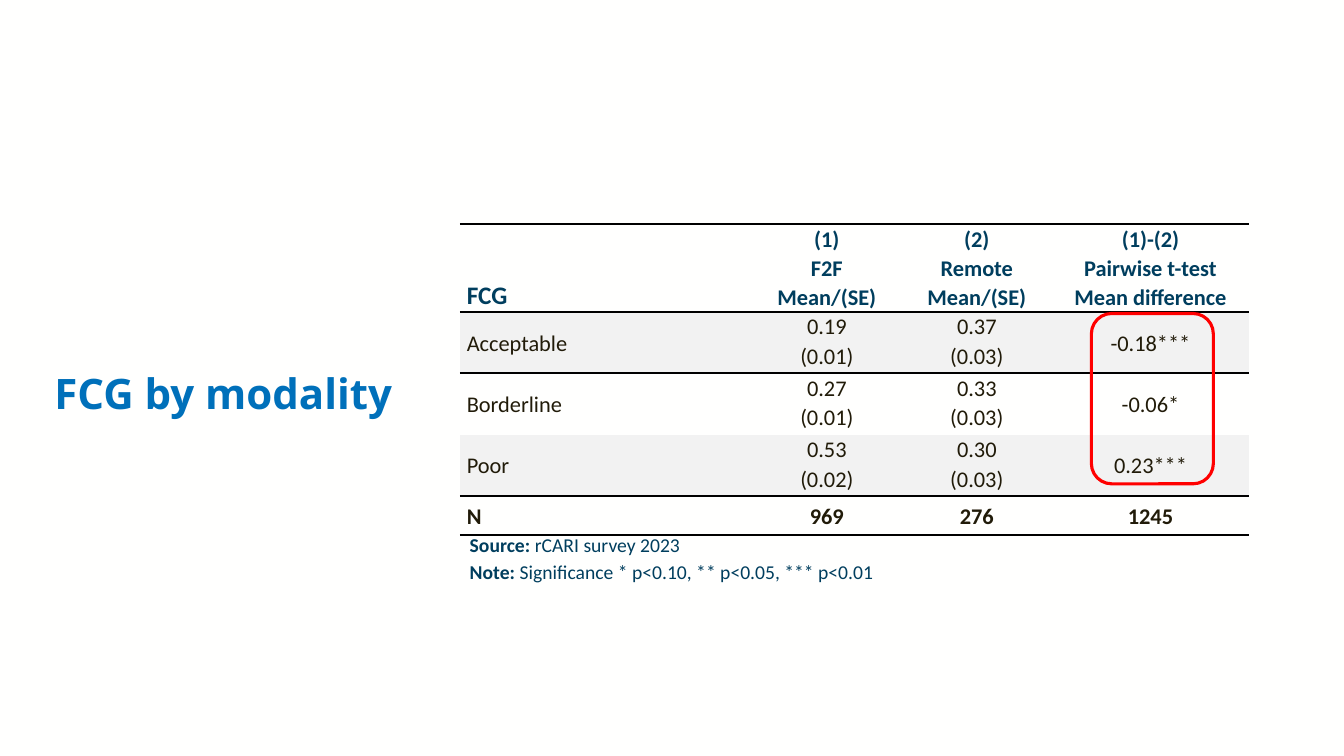
from dataclasses import dataclass

from lxml.etree import SubElement
from pptx import Presentation
from pptx.dml.color import RGBColor
from pptx.enum.shapes import MSO_SHAPE
from pptx.enum.text import MSO_ANCHOR as Anchor, MSO_AUTO_SIZE as AutoSize, PP_ALIGN as Align
from pptx.oxml.ns import qn
from pptx.util import Inches, Pt

BACKGROUND = RGBColor(0xFF, 0xFF, 0xFE)
TITLE_BLUE = RGBColor(0x00, 0x70, 0xBA)
NAVY = RGBColor(0x00, 0x3E, 0x5E)
INK = RGBColor(0x21, 0x1B, 0x09)
BAND = RGBColor(0xF2, 0xF2, 0xF2)
RULE = RGBColor(0x00, 0x00, 0x00)
RED = RGBColor(0xFF, 0x00, 0x00)

TITLE_FONT = {"name": "Open Sans", "size": Pt(30), "bold": True}
HEADER_FONT = {"name": "Calibri", "size": Pt(16), "bold": True}
BODY_FONT = {**HEADER_FONT, "bold": False}
NOTE_FONT = {"name": "Calibri", "size": Pt(14)}

NO_STYLE_NO_GRID = "{2D5ABB26-0587-4C30-8999-92F81FD0307C}"
COLUMN_SHARES = [0.37, 0.19, 0.19, 0.25]
ROW_WEIGHTS = [87, 61, 61, 61, 39]
ROWS = [
    ["FCG", "(1)\nF2F\nMean/(SE)", "(2)\nRemote\nMean/(SE)",
     "(1)-(2)\nPairwise t-test\nMean difference"],
    ["Acceptable", "0.19\n(0.01)", "0.37\n(0.03)", "-0.18***"],
    ["Borderline", "0.27\n(0.01)", "0.33\n(0.03)", "-0.06*"],
    ["Poor", "0.53\n(0.02)", "0.30\n(0.03)", "0.23***"],
    ["N", "969", "276", "1245"],
]
NOTES = [
    ("Source:", " rCARI survey 2023"),
    ("Note:", " Significance * p<0.10, ** p<0.05, *** p<0.01"),
]


@dataclass
class Box:
    left: int
    top: int
    width: int
    height: int

    def inner(self, left, top, width, height):
        """Return an inner box given in percent of this one."""
        return Box(int(self.left + self.width * left / 100),
                   int(self.top + self.height * top / 100),
                   int(self.width * width / 100),
                   int(self.height * height / 100))

    def bounds(self):
        return self.left, self.top, self.width, self.height


def set_font(font, color, formats):
    for name, value in formats.items():
        setattr(font, name, value)
    font.color.rgb = color


def add_title(slide, box):
    title = slide.shapes.title
    title.left, title.top, title.width, title.height = box.bounds()
    frame = title.text_frame
    frame.text = "FCG by modality"
    frame.word_wrap = True
    frame.auto_size = AutoSize.NONE
    frame.vertical_anchor = Anchor.MIDDLE
    paragraph = frame.paragraphs[0]
    paragraph.alignment = Align.LEFT
    paragraph.line_spacing = 0.9
    set_font(paragraph.runs[0].font, TITLE_BLUE, TITLE_FONT)


def add_rule(cell, side):
    line = SubElement(cell._tc.get_or_add_tcPr(), qn(f"a:{side}"), w=str(Pt(1.5)))
    fill = SubElement(line, qn("a:solidFill"))
    SubElement(fill, qn("a:srgbClr"), val=str(RULE))


def fill_cell(cell, text, row, column):
    header, total = row == 0, row == len(ROWS) - 1
    cell.margin_left = cell.margin_right = Inches(0.07)
    cell.margin_top = cell.margin_bottom = 0
    if header:
        cell.vertical_anchor = Anchor.BOTTOM if column == 0 else Anchor.TOP
    else:
        cell.vertical_anchor = Anchor.TOP if "\n" in text else Anchor.MIDDLE

    cell.text_frame.text = text
    for paragraph in cell.text_frame.paragraphs:
        paragraph.alignment = Align.LEFT if column == 0 else Align.CENTER
        paragraph.line_spacing = 1.07
        font = paragraph.runs[0].font
        set_font(font, NAVY if header else INK, HEADER_FONT if header or total else BODY_FONT)
        if header and column == 0:
            font.size = Pt(18)

    if header or row == 1 or total:
        add_rule(cell, "lnT")
    if header or row == len(ROWS) - 2 or total:
        add_rule(cell, "lnB")
    if row % 2 and not total:
        cell.fill.solid()
        cell.fill.fore_color.rgb = BAND
    else:
        cell.fill.background()


def add_results_table(slide, box):
    table = slide.shapes.add_table(len(ROWS), len(COLUMN_SHARES), *box.bounds()).table
    table._tbl.tblPr.find(qn("a:tableStyleId")).text = NO_STYLE_NO_GRID
    table.first_row = table.horz_banding = False
    for column, share in zip(table.columns, COLUMN_SHARES):
        column.width = int(box.width * share)
    for row, weight in zip(table.rows, ROW_WEIGHTS):
        row.height = int(box.height * weight / sum(ROW_WEIGHTS))
    for row, texts in enumerate(ROWS):
        for column, text in enumerate(texts):
            fill_cell(table.cell(row, column), text, row, column)


def add_highlight(slide, box):
    frame = slide.shapes.add_shape(MSO_SHAPE.ROUNDED_RECTANGLE, *box.bounds())
    frame.shadow.inherit = False
    frame.fill.background()
    frame.line.color.rgb = RED
    frame.line.width = Pt(2.25)


def add_notes_below(slide, box):
    frame = slide.shapes.add_textbox(*box.bounds()).text_frame
    frame.word_wrap = True
    frame.auto_size = AutoSize.SHAPE_TO_FIT_TEXT
    for index, note in enumerate(NOTES):
        paragraph = frame.add_paragraph() if index else frame.paragraphs[0]
        paragraph.alignment = Align.JUSTIFY
        paragraph.line_spacing = 1.15
        for text, bold in zip(note, (True, False)):
            run = paragraph.add_run()
            run.text = text
            set_font(run.font, NAVY, {**NOTE_FONT, "bold": bold})


def main():
    presentation = Presentation()
    presentation.slide_width, presentation.slide_height = Inches(13.33), Inches(7.5)
    page = Box(0, 0, presentation.slide_width, presentation.slide_height)
    slide = presentation.slides.add_slide(presentation.slide_layouts.get_by_name("Title Only"))
    slide.background.fill.solid()
    slide.background.fill.fore_color.rgb = BACKGROUND

    results = page.inner(34.21, 29.6, 58.74, 41.2)
    add_results_table(slide, results)
    add_title(slide, page.inner(3.3, 44, 28.58, 16.8))
    add_highlight(slide, results.inner(80, 28.8, 15.45, 54.7))
    add_notes_below(slide, results.inner(0, 96.44, 85.19, 20.39))
    presentation.save("out.pptx")


if __name__ == "__main__":
    main()
